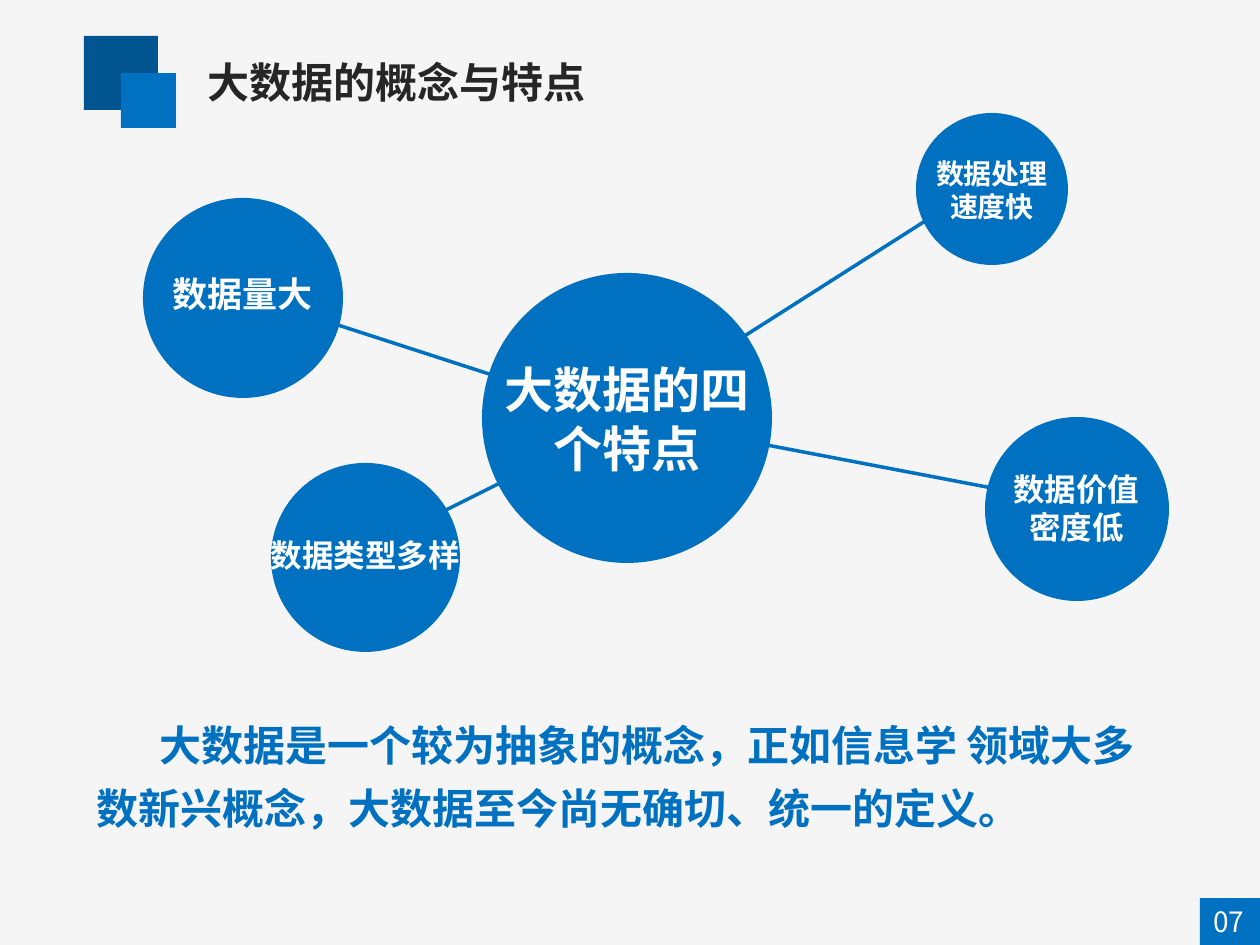
from lxml import etree
from pptx import Presentation
from pptx import util as u
from pptx.dml.color import RGBColor
from pptx.enum import shapes, text
from pptx.oxml.ns import qn

PX = 914400 / 126
FONT = "Noto Sans CJK SC"
HUE = {"back": "F5F5F5", "dark": "005490", "blue": "0070C0",
       "ink": "262626", "white": "FFFFFF"}
KIND = shapes.MSO_SHAPE

deck = Presentation()
deck.slide_width, deck.slide_height = u.Inches(10), u.Inches(7.5)
slide = deck.slides.add_slide(deck.slide_layouts[6])
slide.background.fill.solid()
slide.background.fill.fore_color.rgb = RGBColor.from_string(HUE["back"])


def block(kind, box, hue):
    """Add a filled shape without outline; box is left, top, width, height in px."""
    item = slide.shapes.add_shape(kind, *[round(n * PX) for n in box])
    item.shadow.inherit = False
    item.fill.solid()
    item.fill.fore_color.rgb = RGBColor.from_string(HUE[hue])
    item.line.fill.background()


def label(box, words, size, hue, bold=True, align="CENTER"):
    """Add a wrapped text box and return its paragraphs."""
    item = slide.shapes.add_textbox(*[round(n * PX) for n in box])
    frame = item.text_frame
    frame.text = words
    frame.word_wrap = True
    frame.auto_size = text.MSO_AUTO_SIZE.SHAPE_TO_FIT_TEXT
    for para in frame.paragraphs:
        para.alignment = text.PP_ALIGN[align]
        for run in para.runs:
            font = run.font
            font.name, font.size, font.bold = FONT, u.Pt(size), bold
            font.color.rgb = RGBColor.from_string(HUE[hue])
            # East Asian glyphs take their typeface from a:ea
            east = etree.SubElement(run._r.get_or_add_rPr(), qn("a:ea"))
            east.set("typeface", FONT)
    return frame.paragraphs


# Heading
block(KIND.RECTANGLE, (84, 36, 74, 74), "dark")
block(KIND.RECTANGLE, (121, 73, 55, 55), "blue")
label((195, 50, 980, 67), "大数据的概念与特点", 24, "ink", align="LEFT")

# Spokes, behind the circles
spokes = [(236, 292, 622, 417), (354, 556, 624, 421),
          (611, 421, 963, 197), (620, 417, 1076, 504)]
for ends in spokes:
    spoke = slide.shapes.add_connector(
        shapes.MSO_CONNECTOR.STRAIGHT, *[round(n * PX) for n in ends])
    spoke.line.color.rgb = RGBColor.from_string(HUE["blue"])
    spoke.line.width = u.Pt(2)
    etree.SubElement(spoke._element.spPr, qn("a:effectLst"))

# Summary
para = label((84, 701, 1091, 139),
             "大数据是一个较为抽象的概念，正如信息学 领域大多数新兴概念，大数据至今尚无确切、统一的定义。",
             24, "blue", align="LEFT")[0]
para.line_spacing = 1.25
props = para._p.get_or_add_pPr()
props.set("marL", "0")
props.set("indent", str(u.Inches(0.5)))

# Page number
block(KIND.RECTANGLE, (1200, 898, 60, 47), "blue")
label((1185, 898, 88, 49), "07", 16, "white", bold=False)

# Circles: left, top, diameter, then label top, width, height, size, words
nodes = [
    (482, 273, 290, 353, 290, 135, 28, "大数据的四个特点"),
    (916, 113, 152, 150, 228, 82, 16, "数据处理\n速度快"),
    (143, 198, 200, 266, 300, 58, 20, "数据量大"),
    (985, 417, 184, 464, 275, 91, 18, "数据价值\n密度低"),
    (271, 463, 189, 530, 282, 53, 18, "数据类型多样"),
]
for left, top, wide, high, span, tall, size, words in nodes:
    block(KIND.OVAL, (left, top, wide, wide), "blue")
    label((left + (wide - span) // 2, high, span, tall), words, size, "white")

deck.save("out.pptx")
